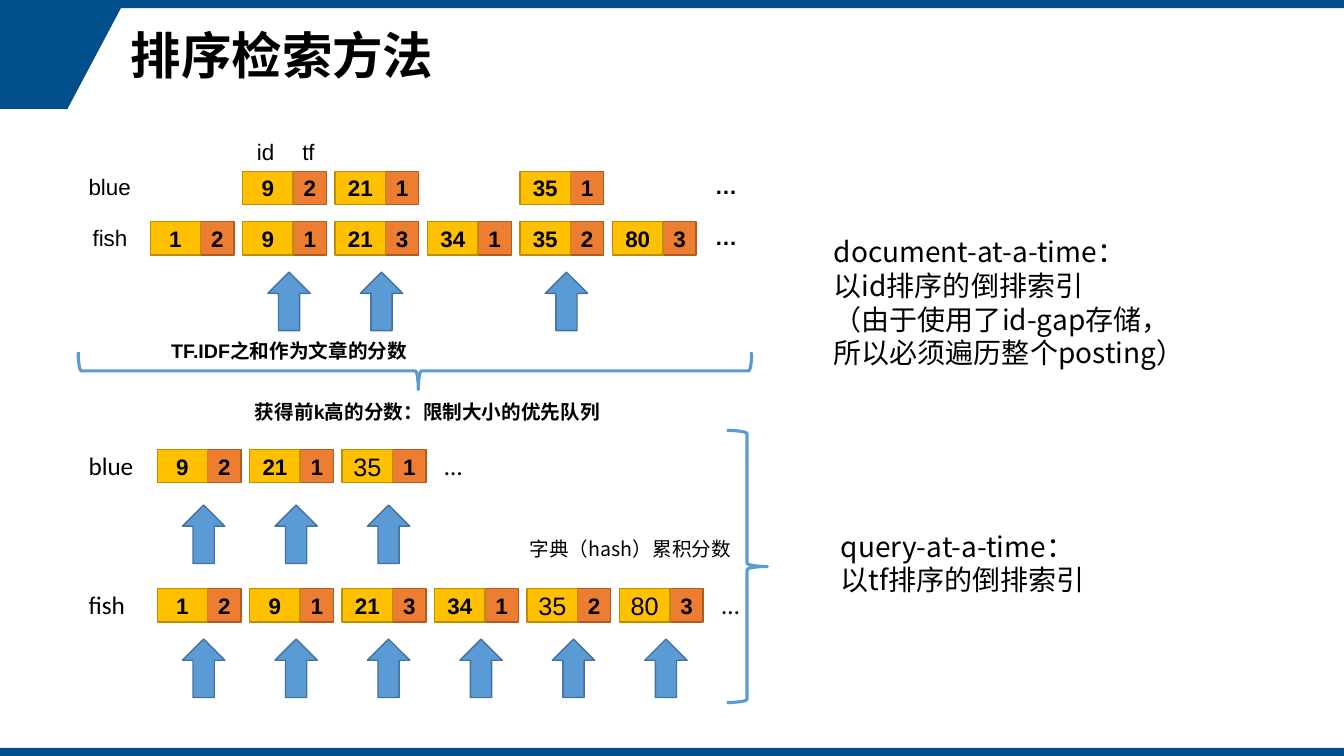
from pptx import Presentation
from pptx import util as u
from pptx.dml.color import RGBColor
from pptx.enum import shapes, text
from pptx.oxml.ns import qn
from lxml import etree

COLORS = {
    "band": "004F8A", "ink": "000000",
    "id": "FFC000", "id_line": "BD8E00",
    "tf": "ED7D31", "tf_line": "AF5C24",
    "arrow": "5B9BD5", "arrow_line": "43739E",
}
CJK = "Noto Sans CJK SC"
PITCH, ID_W, CELL = 0.917, 0.5, 0.33
ARROW_W, ARROW_H = 0.42, 0.58
SHAPE = shapes.MSO_SHAPE
ALIGN = text.PP_ALIGN


def color(name):
    return RGBColor.from_string(COLORS[name])


def add_run(p, content, size, font, bold=False):
    r = p.add_run()
    r.text = content
    r.font.size = u.Pt(size)
    r.font.name = font
    r.font.bold = bold
    r.font.color.rgb = color("ink")
    ea = etree.SubElement(r._r.get_or_add_rPr(), qn("a:ea"))
    ea.set("typeface", CJK)


def add_text(s, box, lines, size, font, bold=False, wrap=True, align=ALIGN.LEFT):
    sp = s.shapes.add_textbox(*map(u.Inches, box))
    tf = sp.text_frame
    tf.word_wrap = wrap
    tf.auto_size = text.MSO_AUTO_SIZE.SHAPE_TO_FIT_TEXT
    for i, line in enumerate(lines):
        p = tf.add_paragraph() if i else tf.paragraphs[0]
        p.alignment = align
        add_run(p, line, size, font, bold)
    return sp


def add_block(s, kind, box, fill=None, line=None, width=1):
    sp = s.shapes.add_shape(kind, *map(u.Inches, box))
    sp.shadow.inherit = False
    if fill:
        sp.fill.solid()
        sp.fill.fore_color.rgb = color(fill)
    else:
        sp.fill.background()
    if line:
        sp.line.color.rgb = color(line)
        sp.line.width = u.Pt(width)
    else:
        sp.line.fill.background()
    return sp


def add_cell(s, box, kind, value, plain=False):
    sp = add_block(s, SHAPE.RECTANGLE, box, kind, kind + "_line")
    tf = sp.text_frame
    tf.margin_left = tf.margin_right = 0
    tf.vertical_anchor = text.MSO_ANCHOR.MIDDLE
    p = tf.paragraphs[0]
    p.alignment = ALIGN.CENTER
    add_run(p, str(value), 18 if plain else 16, "Arial", not plain)


def add_postings(s, left, top, postings, plain_ids=()):
    for slot, posting in enumerate(postings):
        if posting:
            doc, freq = posting
            x = left + slot * PITCH
            add_cell(s, (x + ID_W, top, CELL, CELL), "tf", freq)
            add_cell(s, (x, top, ID_W, CELL), "id", doc, doc in plain_ids)
    return left + len(postings) * PITCH


def add_arrows(s, left, top, slots):
    for slot in slots:
        x = left + slot * PITCH + ID_W / 2
        add_block(s, SHAPE.UP_ARROW, (x, top, ARROW_W, ARROW_H), "arrow", "arrow_line")


def add_frame(s, width, height):
    band = 0.08
    for top in (0, height - band):
        add_block(s, SHAPE.RECTANGLE, (0, top, width, band), "band")
    corner = s.shapes.build_freeform(0, u.Inches(band))
    corner.add_line_segments(
        [(u.Inches(x), u.Inches(y)) for x, y in ((1.2, band), (0.67, 1.08), (0, 1.08))])
    sp = corner.convert_to_shape()
    sp.shadow.inherit = False
    sp.fill.solid()
    sp.fill.fore_color.rgb = color("band")
    sp.line.fill.background()


def add_title(s, box, title):
    sp = add_text(s, box, [title], 36, CJK, bold=True)
    tf = sp.text_frame
    tf.auto_size = text.MSO_AUTO_SIZE.NONE
    tf.vertical_anchor = text.MSO_ANCHOR.MIDDLE
    tf.paragraphs[0].line_spacing = 0.9


def add_document_index(s, left, top):
    first = left + 0.71
    for label, dx, w in (("id", 1.67, 0.38), ("tf", 2.12, 0.33)):
        add_text(s, (left + dx, top, w, 0.37), [label], 16, "Arial", wrap=False)
    rows = (
        ("blue", 0, 0.62, 0.38, [None, (9, 2), (21, 1), None, (35, 1), None]),
        ("fish", 0.04, 0.55, 0.88, [(1, 2), (9, 1), (21, 3), (34, 1), (35, 2), (80, 3)]),
    )
    for label, dx, w, dy, postings in rows:
        y = top + dy
        add_text(s, (left + dx, y - 0.03, w, 0.37), [label], 16, "Arial", wrap=False)
        end = add_postings(s, first, y, postings)
        add_text(s, (end, y - 0.04, 0.43, 0.37), ["…"], 16, "Arial", True, wrap=False)
    add_arrows(s, first, top + 1.38, (1, 2, 4))
    add_text(s, (left + 0.82, top + 1.99, 2.66, 0.34),
             ["TF.IDF之和作为文章的分数"], 14, "Arial", True)
    brace = add_block(s, SHAPE.RIGHT_BRACE, (left + 3.15, top - 0.98, 0.37, 6.68),
                      line="arrow", width=2.25)
    brace.rotation = 90
    brace.adjustments[0] = 0.083
    brace.adjustments[1] = 0.495
    add_text(s, (left + 1.65, top + 2.6, 3.89, 0.34),
             ["获得前k高的分数：限制大小的优先队列"], 14, "Arial", True)


def add_query_index(s, left, top):
    first = left + 0.78
    rows = (
        ("blue", 0.65, 0.19, 0.74, [(9, 2), (21, 1), (35, 1)]),
        ("fish", 0.57, 1.57, 2.07, [(1, 2), (9, 1), (21, 3), (34, 1), (35, 2), (80, 3)]),
    )
    for label, w, dy, arrow_dy, postings in rows:
        y = top + dy
        add_text(s, (left, y - 0.04, w, 0.4), [label], 18, "Calibri", wrap=False)
        end = add_postings(s, first, y, postings, plain_ids=(35, 80))
        add_text(s, (end, y - 0.04, 0.38, 0.4), ["…"], 18, "Calibri", wrap=False)
        add_arrows(s, first, top + arrow_dy, range(len(postings)))
    add_text(s, (left + 3.64, top + 1.01, 2.93, 0.34),
             ["字典（hash）累积分数"], 14, CJK, align=ALIGN.RIGHT)
    add_block(s, SHAPE.RIGHT_BRACE, (left + 6.43, top, 0.4, 2.7), line="arrow", width=2.25)


def main():
    prs = Presentation()
    prs.slide_width, prs.slide_height = u.Inches(13.33), u.Inches(7.5)
    s = prs.slides.add_slide(prs.slide_layouts[6])
    add_frame(s, 13.33, 7.5)
    add_title(s, (1.2, 0.08, 11.22, 1), "排序检索方法")
    add_document_index(s, 0.78, 1.32)
    add_text(s, (8.17, 2.28, 4.11, 1.45),
             ["document-at-a-time：", "以id排序的倒排索引",
              "（由于使用了id-gap存储，", "所以必须遍历整个posting）"], 20, CJK)
    add_query_index(s, 0.78, 4.27)
    add_text(s, (8.24, 5.2, 3.35, 0.77),
             ["query-at-a-time：", "以tf排序的倒排索引"], 20, CJK)
    prs.save("out.pptx")


if __name__ == "__main__":
    main()
